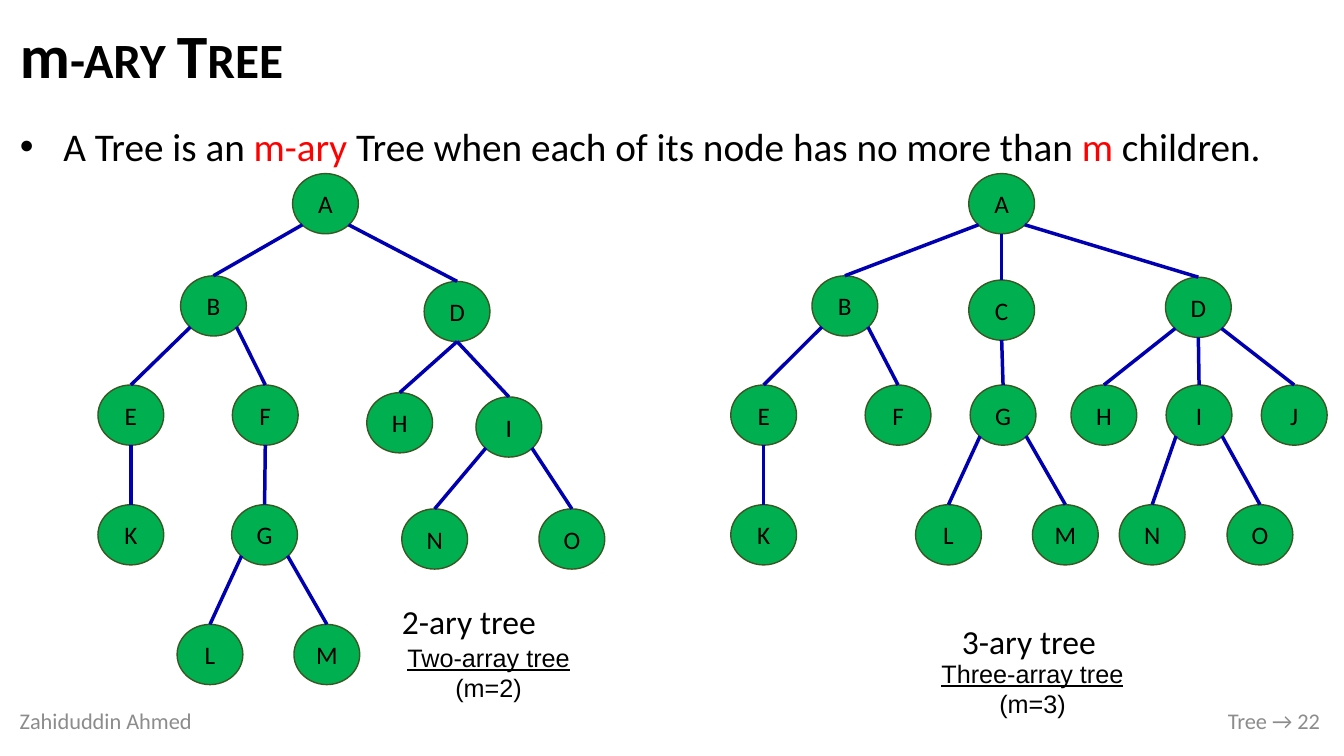
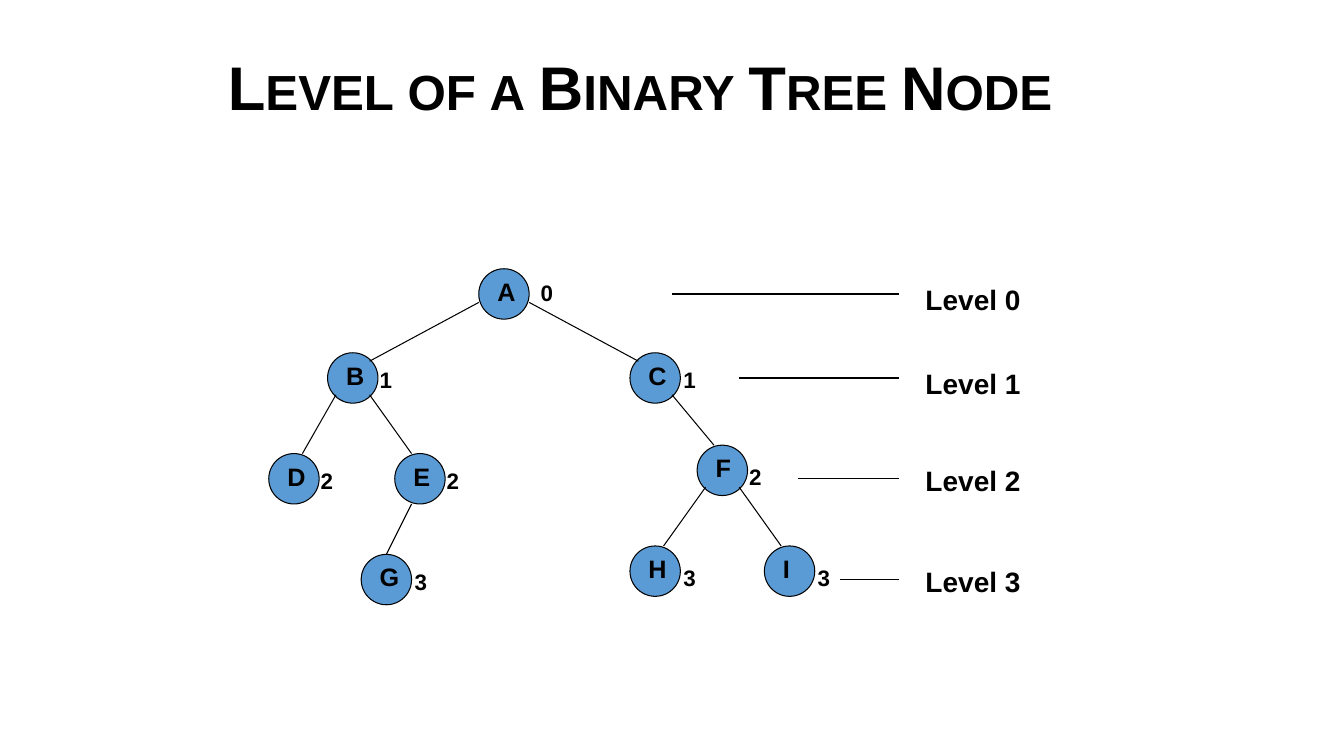
import pptx
import pptx.util
import pptx.dml.color
import pptx.enum.shapes
import pptx.enum.text
import pptx.oxml
import pptx.oxml.ns

Pt = pptx.util.Pt
ALIGN = pptx.enum.text.PP_ALIGN
ANCHOR = pptx.enum.text.MSO_ANCHOR
AUTO = pptx.enum.text.MSO_AUTO_SIZE

COLORS = {
    "text": "000000", "accent": "FF0000", "footer": "8C8C8C",
    "green": "00B050", "green_line": "385723", "edge": "0000B0",
    "blue": "5B9BD5",
}
NODE_W, NODE_H = 47, 43
DISC = 36
STEP = DISC / 6  # grid inside a disc


# Shared helpers
def rgb(name):
    return pptx.dml.color.RGBColor.from_string(COLORS[name])


def style(r, size, font, color="text", bold=False, underline=False, small=False):
    f = r.font
    f.size, f.name, f.bold, f.underline = Pt(size), font, bold, underline
    f.color.rgb = rgb(color)
    if small:
        r._r.get_or_add_rPr().set("cap", "small")


def place(sp, x, y, w, h):
    sp.left, sp.top, sp.width, sp.height = Pt(x), Pt(y), Pt(w), Pt(h)


def add_text(s, box, text, size, font, align=ALIGN.LEFT, wrap=False,
             anchor=ANCHOR.TOP, grow=True, **look):
    tf = s.shapes.add_textbox(*map(Pt, box)).text_frame
    tf.text = text
    tf.word_wrap, tf.vertical_anchor = wrap, anchor
    tf.auto_size = AUTO.SHAPE_TO_FIT_TEXT if grow else AUTO.NONE
    for p in tf.paragraphs:
        p.alignment = align
        for r in p.runs:
            style(r, size, font, **look)
    return tf


def add_line(s, start, end, color, width):
    line = s.shapes.add_connector(
        pptx.enum.shapes.MSO_CONNECTOR.STRAIGHT, *map(Pt, (*start, *end)))
    line.line.color.rgb, line.line.width = rgb(color), Pt(width)
    line._element.spPr.append(pptx.oxml.parse_xml(
        "<a:effectLst %s/>" % pptx.oxml.ns.nsdecls("a")))


def add_node(s, box, letter, size, font, fill, outline, width, bold=False):
    sp = s.shapes.add_shape(pptx.enum.shapes.MSO_SHAPE.OVAL, *map(Pt, box))
    sp.shadow.inherit = False
    sp.fill.solid()
    sp.fill.fore_color.rgb = rgb(fill)
    sp.line.color.rgb, sp.line.width = rgb(outline), Pt(width)
    tf = sp.text_frame
    tf.text = letter
    p = tf.paragraphs[0]
    p.alignment = ALIGN.CENTER
    style(p.runs[0], size, font, bold=bold)
    return tf


def set_title(s, box, parts, font):
    """Fill the title with (text, small caps) parts."""
    place(s.shapes.title, *box)
    tf = s.shapes.title.text_frame
    tf.word_wrap, tf.vertical_anchor, tf.auto_size = True, ANCHOR.MIDDLE, AUTO.NONE
    p = tf.paragraphs[0]
    p.alignment, p.line_spacing = ALIGN.LEFT, 0.9
    for text, small in parts:
        r = p.add_run()
        r.text = text
        style(r, 44, font, bold=True, small=small)


def add_footer(s, left, right):
    for x, w, text, align in ((7, 174, left, ALIGN.LEFT),
                              (555, 395, right, ALIGN.RIGHT)):
        add_text(s, (x, 500, w, 29), text, 16, "Calibri", align, True,
                 ANCHOR.MIDDLE, False, color="footer")


# m-ary trees
def set_definition(s, box, parts):
    """Fill the body with one bullet made of (text, colour) parts."""
    body = s.placeholders[1]
    place(body, *box)
    tf = body.text_frame
    tf.word_wrap, tf.auto_size = True, AUTO.NONE
    p = tf.paragraphs[0]
    pPr = p._p.get_or_add_pPr()
    pPr.set("marL", str(Pt(31)))
    pPr.set("indent", str(Pt(-31)))
    for xml in ('<a:buClr %s><a:srgbClr val="' + COLORS["text"] + '"/></a:buClr>',
                '<a:buFont %s typeface="Arial"/>', '<a:buChar %s char="•"/>'):
        pPr.append(pptx.oxml.parse_xml(xml % pptx.oxml.ns.nsdecls("a")))
    p.alignment, p.line_spacing = ALIGN.JUSTIFY, 1.0
    p.space_before, p.space_after = Pt(0), Pt(4)
    for text, color in parts:
        r = p.add_run()
        r.text = text
        style(r, 28, "Calibri", color)


def add_mary_tree(s, x, y, nodes, edges, fans=""):
    """Draw a tree at x, y; nodes in fans send all edges from the bottom."""
    for letter, (dx, dy) in nodes.items():
        tf = add_node(s, (x + dx, y + dy, NODE_W, NODE_H), letter, 18, "Calibri",
                      "green", "green_line", 1)
        tf.vertical_anchor, tf.word_wrap = ANCHOR.MIDDLE, False
    for parent, child in edges:
        px, py = nodes[parent]
        cx, cy = nodes[child]
        straight = abs(cx - px) < 5 or parent in fans
        side = 0 if straight else (1 if cx > px else -1)
        drop = 1 if straight else 0.85
        start = (x + px + NODE_W * (0.5 + 0.35 * side), y + py + NODE_H * drop)
        add_line(s, start, (x + cx + NODE_W / 2, y + cy), "edge", 2.5)


def add_caption(s, name_box, detail_box, name, detail):
    add_text(s, name_box, name, 24, "Calibri", wrap=True)
    tf = add_text(s, detail_box, detail, 18, "Arial", ALIGN.CENTER)
    tf.paragraphs[0].runs[0].font.underline = True


def mary_slide(prs):
    s = prs.slides.add_slide(prs.slide_layouts[1])
    set_title(s, (7, 8, 943, 68), [("m", False), ("-ary Tree", True)], "Calibri")
    set_definition(s, (7, 83.5, 943, 47), [
        ("A Tree is an ", "text"), ("m-ary", "accent"),
        (" Tree when each of its node has no more than ", "text"),
        ("m", "accent"), (" children.", "text")])
    add_footer(s, "Zahiduddin Ahmed", "Tree → 22")
    three = {
        "A": (170, 0), "B": (58, 73), "C": (170, 76), "D": (310.5, 74),
        "E": (0, 151), "F": (96, 151), "G": (171, 151), "H": (243, 151),
        "I": (311, 151), "J": (379, 151), "K": (0, 236.5), "L": (132, 236.5),
        "M": (215.5, 236.5), "N": (277.5, 236.5), "O": (354.5, 236.5)}
    add_mary_tree(s, 522, 124, three, (
        "AB", "AC", "AD", "BE", "BF", "CG", "DH", "DI", "DJ",
        "EK", "GL", "GM", "IN", "IO"))
    two = {
        "A": (139, 0), "B": (59, 73), "D": (233, 77), "E": (0, 151),
        "F": (96, 151), "H": (192, 156.5), "I": (270, 159.5), "K": (0, 236.5),
        "G": (95.5, 236.5), "N": (217, 239.5), "O": (315, 239.5),
        "L": (56.5, 322), "M": (140, 322)}
    add_mary_tree(s, 70, 124, two, (
        "AB", "AD", "BE", "BF", "DH", "DI", "EK", "FG",
        "GL", "GM", "IN", "IO"), fans="D")
    add_caption(s, (280, 425.5, 111, 36), (283, 455, 132, 51),
                "2-ary tree", "Two-array tree\n(m=2)")
    add_caption(s, (680, 440, 111, 36), (664.5, 466.5, 146, 51),
                "3-ary tree", "Three-array tree\n(m=3)")


# Binary tree with levels
def add_level_tree(s, x, y):
    # letter: left, top, level, offset of the level number
    nodes = {
        "A": (150, 0, 0, 37, 4), "B": (42, 60, 1, 30, 6), "C": (258, 60, 1, 31, 6),
        "D": (0, 132, 2, 30, 6), "E": (90, 132, 2, 30, 6), "F": (306, 126, 2, 30, 9.5),
        "G": (66, 204, 3, 31, 6), "H": (258, 198, 3, 31, 9.5),
        "I": (354, 198, 3, 31, 9.5)}
    for letter, (dx, dy, level, nx, ny) in nodes.items():
        left, top = x + dx, y + dy
        tf = add_node(s, (left, top, DISC, DISC), letter, 18, "Arial",
                      "blue", "text", 0.75, bold=True)
        tf.paragraphs[0].alignment = ALIGN.LEFT
        tf.vertical_anchor, tf.word_wrap = ANCHOR.TOP, True
        tf.margin_left = Pt(8)
        tf.margin_top = tf.margin_right = tf.margin_bottom = Pt(0)
        add_text(s, (left + nx, top + ny, 24, 26.5), str(level), 16, "Arial", bold=True)
    for parent, child in ("AB", "AC", "BD", "BE", "EG", "CF", "FH", "FI"):
        px, py = nodes[parent][:2]
        cx, cy = nodes[child][:2]
        side = 1 if cx > px else -1
        start, end = (3 + 2 * side, 5), (3 - side, 0)
        if parent == "A":
            start, end = (3 + 3 * side, 4), (3 - 2 * side, 1)
        elif parent == "E":
            start, end = (2, 6), (3, 0)
        add_line(s, (x + px + start[0] * STEP, y + py + start[1] * STEP),
                 (x + cx + end[0] * STEP, y + cy + end[1] * STEP), "text", 0.75)


def add_level_key(s, x, y):
    # line start, line height, label top
    rows = ((0, 0, -12), (48, 60, 48), (90, 132, 117.5), (120, 204, 189.5))
    for level, (start, dy, label) in enumerate(rows):
        add_line(s, (x + start, y + dy), (x + 162, y + dy), "text", 0.75)
        add_text(s, (x + 174, y + label, 83, 31.5), f"Level {level}", 20, "Arial",
                 bold=True)


def level_slide(prs):
    s = prs.slides.add_slide(prs.slide_layouts[5])
    set_title(s, (155.5, 29, 648, 72), [("Level of a Binary Tree Node", True)], "Arial")
    add_level_tree(s, 192, 192)
    add_level_key(s, 480, 210)


def main():
    prs = pptx.Presentation()
    prs.slide_width, prs.slide_height = Pt(960), Pt(540)
    mary_slide(prs)
    level_slide(prs)
    prs.save("out.pptx")


if __name__ == "__main__":
    main()
